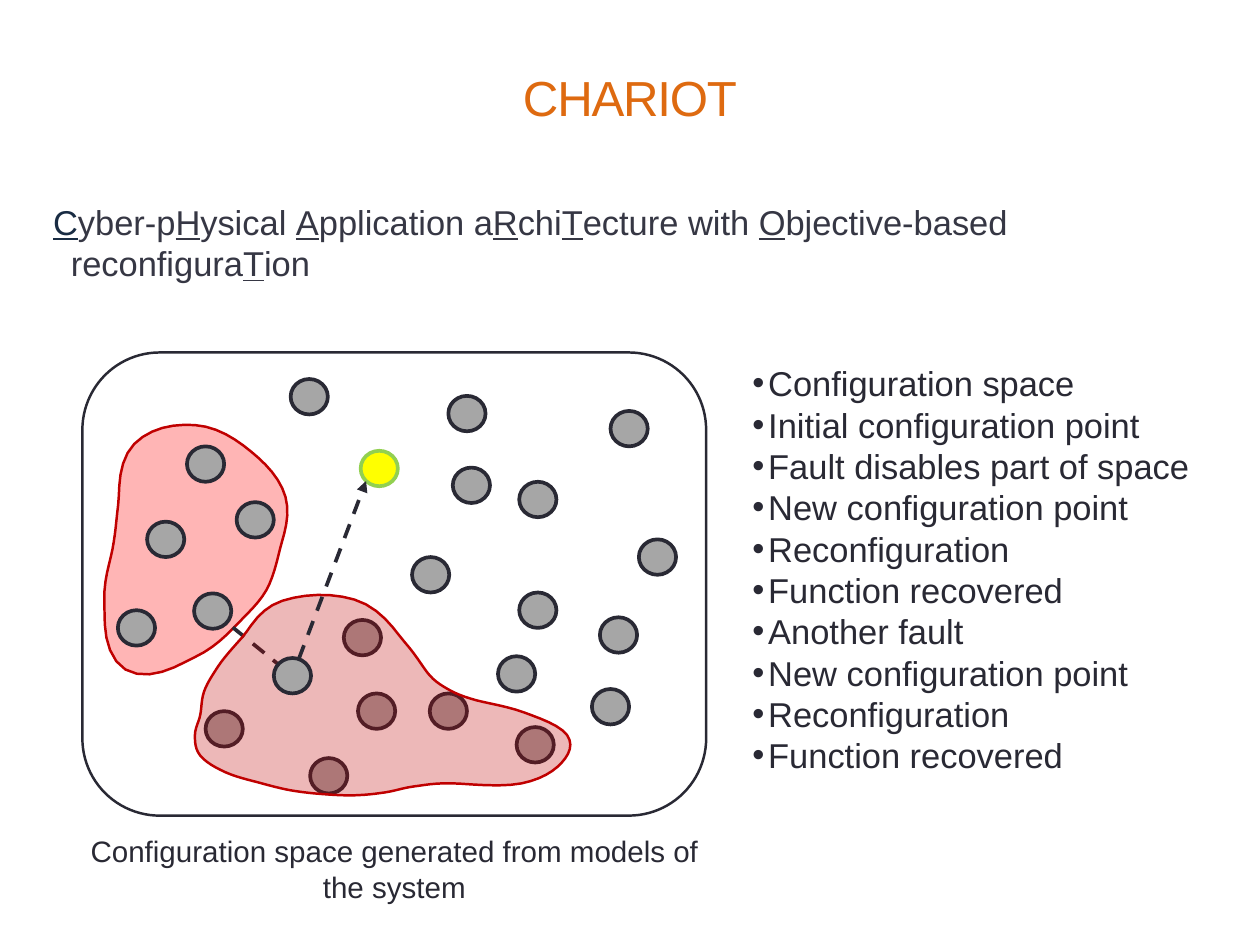
"""Build the CHARIOT configuration space slide on a grid of square cells."""
import dataclasses
import math
import typing

import lxml.etree
import pptx
import pptx.dml.color
import pptx.enum.dml
import pptx.enum.shapes
import pptx.enum.text
import pptx.oxml.ns
import pptx.util

COLS, ROWS = 142.2, 106.7
CELL = pptx.util.Inches(0.1)
Point = tuple[float, float]
Kind = pptx.enum.shapes.MSO_SHAPE
Align = pptx.enum.text.PP_ALIGN


@dataclasses.dataclass(frozen=True)
class Theme:
    font: str = "Arial"
    title: str = "DE6A10"
    ink: str = "292934"
    lead: str = "363744"
    first: str = "192C43"
    dot: str = "A6A6A6"
    goal: str = "FFFF00"
    ring: str = "92D050"
    edge: str = "C00000"
    fault: str = "FF0000"
    huge: int = 40
    large: int = 28
    small: int = 24
    thin: int = 2
    thick: int = 3


@dataclasses.dataclass(frozen=True)
class Box:
    left: float
    top: float
    width: float
    height: float


@dataclasses.dataclass(frozen=True)
class Style:
    size: int
    ink: str
    align: Align = Align.LEFT
    hang: float = 0
    mark: str = ""


@dataclasses.dataclass(frozen=True)
class Zone:
    """A blob with one radius for each equal turn about its centre."""
    fill: str
    alpha: int
    centre: Point
    stretch: float
    radii: tuple[float, ...]


THEME = Theme()
FRAME = Box(9.3, 39.8, 70.4, 52.3)
INSET = 0.7
DOT = (4.2, 4.0)

START, NEXT, GOAL = (21.9, 67), (30.9, 74.3), (40.7, 50.9)
DOTS: dict[str, list[Point]] = {
    "first fault": [START, (21.1, 50.4), (26.7, 56.7), (16.6, 58.9), (13.3, 68.9)],
    "second fault": [(38.8, 70), (23.2, 80.3), (40.4, 78.3), (48.5, 78.3),
                     (35, 85.6), (58.3, 82.1)],
    "free": [(32.8, 42.8), (50.6, 44.7), (68.9, 46.4), (51.1, 52.8),
             (58.6, 54.4), (72.1, 60.9), (46.5, 62.9), (58.6, 66.9),
             (67.7, 69.7), (56.2, 74.1), (66.8, 77.8)],
}

FIRST = Zone(THEME.fault, 29, (22, 62), 1, (
    9.6, 9.3, 9.7, 12.2, 15.7, 11.8, 9.3, 10, 13.7, 14, 12.7, 11.8))
SECOND = Zone(THEME.edge, 28, (40, 83), 2, (
    12, 12.1, 10.9, 7.7, 6.7, 6.7, 6.8, 6.9, 7.2, 7.6, 8.4, 9,
    9, 9, 9.8, 10.9, 12.7, 15.7, 15.3, 10.9, 8.2, 7.4, 7.9, 9.9))

REPAIR = ("New configuration point", "Reconfiguration", "Function recovered")
STEPS = ("Configuration space", "Initial configuration point",
         "Fault disables part of space", *REPAIR, "Another fault", *REPAIR)
NAME = ("|C|yber-p|H|ysical |A|pplication a|R|chi|T|ecture with "
        "|O|bjective-based reconfigura|T|ion")


def span(cells: float) -> int:
    """Turn grid cells into a length."""
    return round(cells * CELL)


def tint(code: str) -> pptx.dml.color.RGBColor:
    """Turn a hex code into a colour."""
    return pptx.dml.color.RGBColor.from_string(code)


def add(node: typing.Any, tag: str, **attrs: str) -> typing.Any:
    """Append a drawing element to a node."""
    return lxml.etree.SubElement(node, pptx.oxml.ns.qn(tag), attrs)


def place(shape: typing.Any, box: Box) -> None:
    """Move a shape to its grid box."""
    shape.left, shape.top = span(box.left), span(box.top)
    shape.width, shape.height = span(box.width), span(box.height)


def paint(shape: typing.Any, fill: str | None, edge: str, width: int) -> None:
    """Set fill and outline, without a shadow."""
    shape.shadow.inherit = False
    if fill:
        shape.fill.solid()
        shape.fill.fore_color.rgb = tint(fill)
    else:
        shape.fill.background()
    shape.line.color.rgb = tint(edge)
    shape.line.width = pptx.util.Pt(width)


def draw_dot(shapes: typing.Any, at: Point, fill: str = THEME.dot,
             edge: str = THEME.ink) -> None:
    """Draw one configuration point."""
    dot = shapes.add_shape(Kind.OVAL, *map(span, (*at, *DOT)))
    paint(dot, fill, edge, THEME.thick)


def rim(dot: Point, turn: float, share: float = 1) -> Point:
    """Find a point on a dot's rim, or at its centre when share is 0."""
    angle = math.radians(turn)
    return (dot[0] + DOT[0] / 2 * (1 + share * math.cos(angle)),
            dot[1] + DOT[1] / 2 * (1 + share * math.sin(angle)))


def blend(a: float, b: float, c: float, d: float, t: float) -> float:
    """Pass smoothly from b to c as t runs from 0 to 1."""
    return (b + t * (c - a) / 2 + t ** 2 * (2 * a - 5 * b + 4 * c - d) / 2
            + t ** 3 * (3 * b - a - 3 * c + d) / 2)


def outline(zone: Zone, parts: int = 6) -> list[Point]:
    """Trace a zone by blending its radii round the full turn."""
    count = len(zone.radii)
    points: list[Point] = []
    for step in range(count * parts):
        i, part = divmod(step, parts)
        near = [zone.radii[(i + j) % count] for j in (-1, 0, 1, 2)]
        reach = blend(*near, part / parts)
        angle = math.tau * step / (count * parts)
        points.append((
            span(zone.centre[0] + zone.stretch * reach * math.cos(angle)),
            span(zone.centre[1] + reach * math.sin(angle))))
    return points


def draw_zone(shapes: typing.Any, zone: Zone) -> None:
    """Draw a see-through fault zone."""
    start, *rest = outline(zone)
    pen = shapes.build_freeform(*start, scale=1.0)
    pen.add_line_segments(rest, close=True)
    shape = pen.convert_to_shape()
    paint(shape, zone.fill, THEME.edge, THEME.thin)
    tone = shape._element.spPr.find(pptx.oxml.ns.qn("a:solidFill"))[0]
    add(tone, "a:alpha", val=str(zone.alpha * 1000))


def draw_move(shapes: typing.Any, start: Point, end: Point) -> None:
    """Draw a dashed arrow between two points."""
    kind = pptx.enum.shapes.MSO_CONNECTOR.STRAIGHT
    move = shapes.add_connector(kind, *map(span, (*start, *end)))
    move.line.color.rgb = tint(THEME.ink)
    move.line.width = pptx.util.Pt(THEME.thick)
    move.line.dash_style = pptx.enum.dml.MSO_LINE.DASH
    props = move._element.spPr
    add(props.find(pptx.oxml.ns.qn("a:ln")), "a:tailEnd", type="triangle")
    add(props, "a:effectLst")


def write(shape: typing.Any, box: Box, style: Style, *lines: str) -> typing.Any:
    """Fill a text shape; bars set off underlined letters."""
    place(shape, box)
    frame = shape.text_frame
    frame.word_wrap = True
    frame.auto_size = pptx.enum.text.MSO_AUTO_SIZE.NONE
    frame.margin_left = frame.margin_right = span(INSET)
    frame.margin_top = frame.margin_bottom = span(INSET)
    for i, line in enumerate(lines):
        para = frame.add_paragraph() if i else frame.paragraphs[0]
        para.alignment, para.space_before = style.align, pptx.util.Pt(0)
        props = para._p.get_or_add_pPr()
        props.set("marL", str(span(style.hang)))
        props.set("indent", str(span(-style.hang)))
        if style.mark:
            add(props, "a:buChar", char=style.mark)
        else:
            add(props, "a:buNone")
        para.font.name, para.font.size = THEME.font, pptx.util.Pt(style.size)
        para.font.color.rgb = tint(style.ink)
        for j, part in enumerate(line.split("|")):
            if part:
                run = para.add_run()
                run.text = part
                if j % 2:
                    run.font.underline = True
    return frame


def draw_space(shapes: typing.Any) -> None:
    """Draw the space, its points, both faults and the moves."""
    draw_zone(shapes, FIRST)
    frame = shapes.add_shape(Kind.ROUNDED_RECTANGLE, 0, 0, 0, 0)
    place(frame, FRAME)
    frame.adjustments[0] = 0.167
    paint(frame, None, THEME.ink, THEME.thin)
    draw_move(shapes, rim(START, 0, 0), rim(NEXT, 0, 0))
    for group in DOTS.values():
        for dot in group:
            draw_dot(shapes, dot)
    draw_zone(shapes, SECOND)
    draw_dot(shapes, GOAL, THEME.goal, THEME.ring)
    draw_dot(shapes, NEXT)
    draw_move(shapes, rim(NEXT, -70), rim(GOAL, 135))


def main() -> None:
    """Compose and save the slide."""
    deck = pptx.Presentation()
    deck.slide_width, deck.slide_height = span(COLS), span(ROWS)
    slide = deck.slides.add_slide(deck.slide_layouts[1])
    shapes = slide.shapes
    title = write(shapes.title, Box(7.1, 3.3, 128, 15.3),
                  Style(THEME.huge, THEME.title, Align.CENTER), "CHARIOT")
    title.vertical_anchor = pptx.enum.text.MSO_ANCHOR.MIDDLE
    title.paragraphs[0].runs[0].font._element.set("spc", "-100")
    draw_space(shapes)
    write(slide.placeholders[1], Box(84.2, 40.2, 53, 45.7),
          Style(THEME.large, THEME.ink, hang=1.8, mark="•"), *STEPS)
    lead = write(shapes.add_textbox(0, 0, 0, 0), Box(5.3, 22, 129.7, 10.9),
                 Style(THEME.large, THEME.lead, hang=2), NAME)
    lead.paragraphs[0].runs[0].font.color.rgb = tint(THEME.first)
    write(shapes.add_textbox(0, 0, 0, 0), Box(FRAME.left, 93.4, FRAME.width, 9.1),
          Style(THEME.small, THEME.ink, Align.CENTER),
          "Configuration space generated from models of the system")
    deck.save("out.pptx")


if __name__ == "__main__":
    main()
